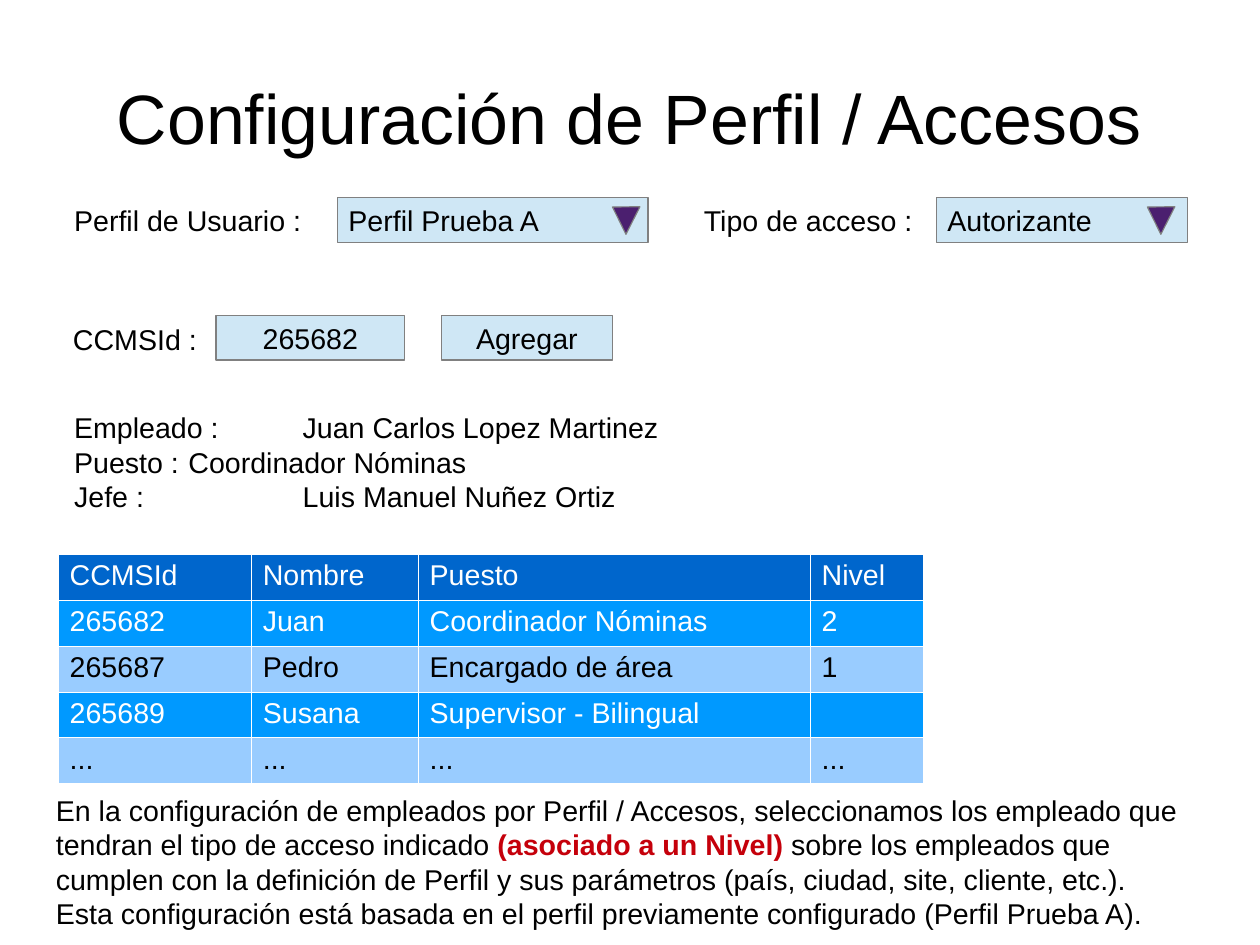
"""Builds the slide on profile and access configuration."""
from dataclasses import dataclass

from lxml import etree
from pptx import Presentation
from pptx.dml.color import RGBColor
from pptx.enum.shapes import MSO_SHAPE
from pptx.enum.text import MSO_ANCHOR, PP_ALIGN
from pptx.oxml.ns import qn
from pptx.util import Inches, Pt

RECTANGLE, TRIANGLE = MSO_SHAPE.RECTANGLE, MSO_SHAPE.ISOSCELES_TRIANGLE
TOP, MIDDLE = MSO_ANCHOR.TOP, MSO_ANCHOR.MIDDLE
LEFT, CENTER, RIGHT = PP_ALIGN.LEFT, PP_ALIGN.CENTER, PP_ALIGN.RIGHT
CM_PER_INCH = 2.54


@dataclass(frozen=True)
class Theme:
    font: str = "Arial"
    title_size: int = 44
    body_size: int = 18
    text: str = "000000"
    light_text: str = "FFFFFF"
    emphasis: str = "C5000B"
    field: str = "CFE7F5"
    outline: str = "808080"
    arrow: str = "4B1F6F"
    header: str = "0066CC"
    odd_row: str = "0099FF"
    even_row: str = "99CCFF"
    grid: str = "FFFFFF"
    grid_width: float = 0.06


theme = Theme()


def write(frame, text, align=LEFT, anchor=TOP, size=theme.body_size, color=theme.text):
    frame.text = text
    frame.word_wrap = True
    frame.vertical_anchor = anchor
    for paragraph in frame.paragraphs:
        paragraph.alignment = align
        paragraph.font.size = Pt(size)
        for run in paragraph.runs:
            run.font.name = theme.font
            run.font.size = Pt(size)
            run.font.color.rgb = RGBColor.from_string(color)


def add_box(kind, left, top, width, height, fill):
    box = slide.shapes.add_shape(kind, Inches(left), Inches(top), Inches(width), Inches(height))
    box.shadow.inherit = False
    box.fill.solid()
    box.fill.fore_color.rgb = RGBColor.from_string(fill)
    box.line.color.rgb = RGBColor.from_string(theme.outline)
    box.line.width = Pt(0)
    return box


deck = Presentation()
deck.slide_width = Inches(28 / CM_PER_INCH)
deck.slide_height = Inches(21 / CM_PER_INCH)
slide = deck.slides.add_slide(deck.slide_layouts[6])

title = slide.shapes.add_textbox(Inches(0.55), Inches(0.33), Inches(9.92), Inches(1.38))
title_frame = title.text_frame
title_frame.margin_left = title_frame.margin_right = 0
title_frame.margin_top = title_frame.margin_bottom = 0
write(title_frame, "Configuración de Perfil / Accesos", CENTER, MIDDLE, theme.title_size)

for caption, left, top, width, align in (
    ("Perfil de Usuario :", 0.55, 1.73, 2.52, LEFT),
    ("Tipo de acceso :", 6.06, 1.73, 2.24, LEFT),
    ("CCMSId : ", 0.39, 2.77, 1.5, RIGHT),
):
    label = slide.shapes.add_textbox(Inches(left), Inches(top), Inches(width), Inches(0.38))
    write(label.text_frame, caption, align)

for value, left, top, width, align in (
    ("Perfil Prueba A", 2.95, 1.73, 2.72, LEFT),
    ("Autorizante", 8.19, 1.73, 2.2, LEFT),
    ("265682", 1.89, 2.76, 1.65, CENTER),
    ("Agregar", 3.86, 2.76, 1.5, CENTER),
):
    field = add_box(RECTANGLE, left, top, width, 0.39, theme.field)
    write(field.text_frame, value, align, MIDDLE)

for left in (5.36, 10.04):
    arrow = add_box(TRIANGLE, left, 1.81, 0.24, 0.24, theme.arrow)
    arrow.adjustments[0] = 0.52
    arrow.rotation = 179.4

employee = slide.shapes.add_textbox(Inches(0.55), Inches(3.54), Inches(9.92), Inches(0.94))
write(
    employee.text_frame,
    "Empleado : \tJuan Carlos Lopez Martinez\n"
    "Puesto : \tCoordinador Nóminas\n"
    "Jefe : \t\tLuis Manuel Nuñez Ortiz",
)
for paragraph in employee.text_frame.paragraphs:
    tab_stops = etree.Element(qn("a:tabLst"))
    for stop in (1, 2):
        etree.SubElement(tab_stops, qn("a:tab"), pos=str(Inches(stop)), algn="l")
    paragraph._p.get_or_add_pPr().insert(0, tab_stops)

staff = (
    ("CCMSId", "Nombre", "Puesto", "Nivel"),
    ("265682", "Juan", "Coordinador Nóminas", "2"),
    ("265687", "Pedro", "Encargado de área", "1"),
    ("265689", "Susana", "Supervisor - Bilingual", ""),
    ("...", "...", "...", "..."),
)
staff_table = slide.shapes.add_table(
    len(staff), len(staff[0]), Inches(0.51), Inches(4.85), Inches(7.57), Inches(1.9)
).table
for column, width in zip(staff_table.columns, (1.69, 1.46, 3.43, 0.99)):
    column.width = Inches(width)
for row_index, entries in enumerate(staff):
    staff_table.rows[row_index].height = Inches(0.38)
    if row_index == 0:
        fill, color = theme.header, theme.light_text
    elif row_index % 2:
        fill, color = theme.odd_row, theme.light_text
    else:
        fill, color = theme.even_row, theme.text
    for column_index, entry in enumerate(entries):
        cell = staff_table.cell(row_index, column_index)
        write(cell.text_frame, entry, color=color)
        for run in cell.text_frame.paragraphs[0].runs:
            run.font.bold = False
        properties = cell._tc.get_or_add_tcPr()
        for side in ("a:lnL", "a:lnR", "a:lnT", "a:lnB"):
            border = etree.SubElement(properties, qn(side), w=str(Pt(theme.grid_width)))
            paint = etree.SubElement(border, qn("a:solidFill"))
            etree.SubElement(paint, qn("a:srgbClr"), val=theme.grid)
        cell.fill.solid()
        cell.fill.fore_color.rgb = RGBColor.from_string(fill)

explanation = slide.shapes.add_textbox(Inches(0.39), Inches(6.89), Inches(10.31), Inches(1.23))
write(
    explanation.text_frame,
    "En la configuración de empleados por Perfil / Accesos, seleccionamos los empleado que "
    "tendran el tipo de acceso indicado \n"
    "Esta configuración está basada en el perfil previamente configurado (Perfil Prueba A).",
)
for text, color, bold in (
    ("(asociado a un Nivel)", theme.emphasis, True),
    (
        " sobre los empleados que cumplen con la definición de Perfil y sus parámetros "
        "(país, ciudad, site, cliente, etc.).",
        theme.text,
        False,
    ),
):
    run = explanation.text_frame.paragraphs[0].add_run()
    run.text = text
    run.font.name = theme.font
    run.font.size = Pt(theme.body_size)
    run.font.bold = bold
    run.font.color.rgb = RGBColor.from_string(color)

deck.save("out.pptx")
